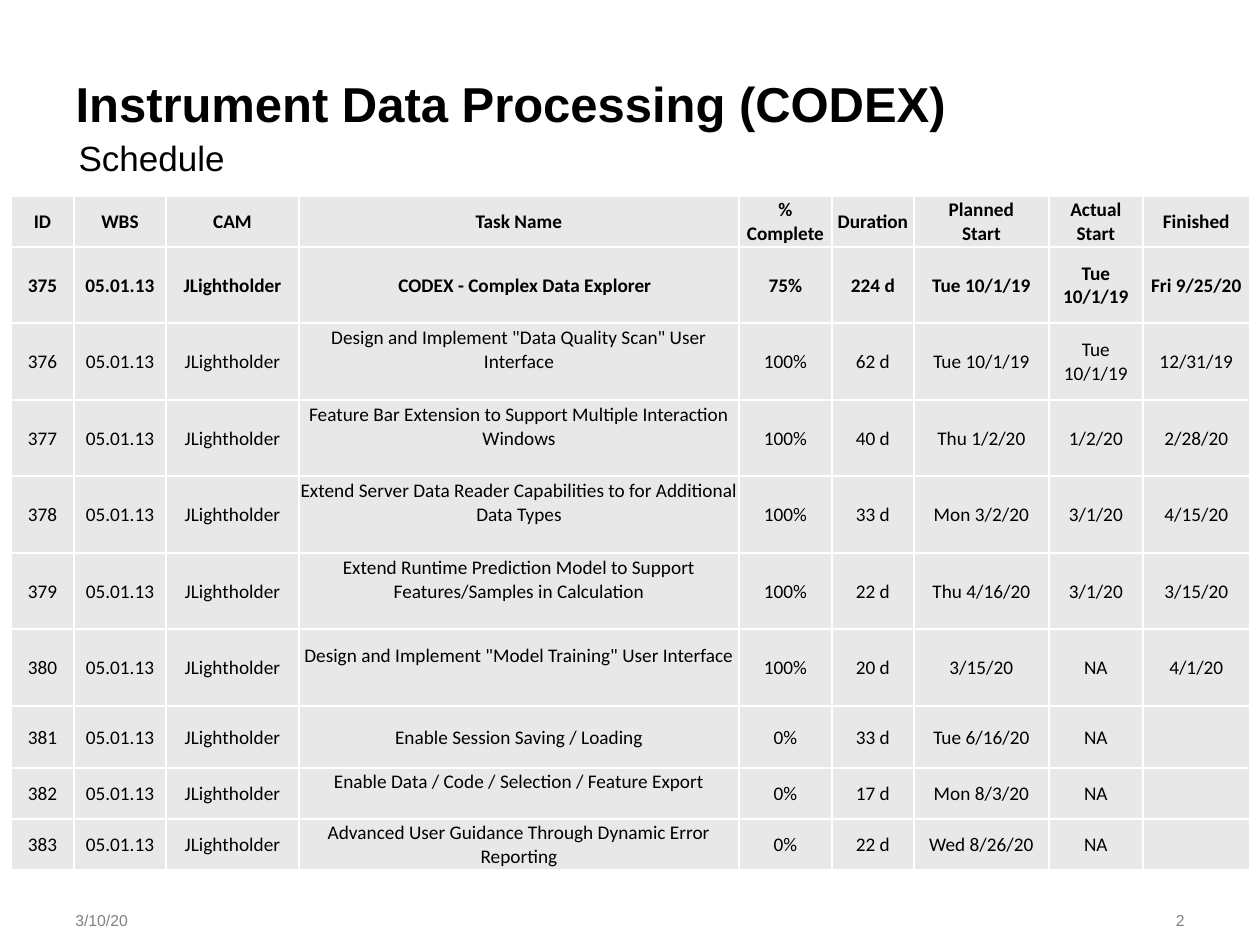
"""Build the CODEX schedule slide."""
from lxml.etree import SubElement
from pptx import Presentation
from pptx.dml.color import RGBColor
from pptx.enum.text import MSO_ANCHOR as Anchor, MSO_AUTO_SIZE as AutoSize, PP_ALIGN as Align
from pptx.oxml.ns import qn
from pptx.util import Emu, Pt


def px(length):
    return Emu(round(length * 914400 / 126))


def write(frame, text, align, font_name, size, color, bold=False):
    frame.text = text
    for paragraph in frame.paragraphs:
        paragraph.alignment = align
        for run in paragraph.runs:
            for key, value in {"name": font_name, "size": Pt(size), "bold": bold}.items():
                setattr(run.font, key, value)
            run.font.color.rgb = RGBColor.from_string(color)


prs = Presentation()
prs.slide_width, prs.slide_height = px(1260), px(945)
slide = prs.slides.add_slide(prs.slide_layouts[0])
title, subtitle = slide.placeholders

headings = [
    (title, "Instrument Data Processing (CODEX)", (63, 63, 1134, 60), 28, True),
    (subtitle, "Schedule", (66, 126, 1134, 45), 20, False),
]
for heading, text, box, size, bold in headings:
    heading.left, heading.top, heading.width, heading.height = map(px, box)
    frame_format = {"word_wrap": True, "auto_size": AutoSize.NONE,
                    "vertical_anchor": Anchor.TOP, "margin_top": px(10), "margin_bottom": 0}
    for key, value in frame_format.items():
        setattr(heading.text_frame, key, value)
    write(heading.text_frame, text, Align.LEFT, "Arial", size, "000000", bold)
    heading.text_frame.paragraphs[0].space_before = Pt(0)

footers = [("3/10/20", 63, 186, Align.LEFT), ("2", 1022, 175, Align.RIGHT)]
for text, left, width, align in footers:
    footer = slide.shapes.add_textbox(px(left), px(895), px(width), px(50)).text_frame
    footer.word_wrap = True
    footer.vertical_anchor = Anchor.MIDDLE
    write(footer, text, align, "Arial", 9, "808080")

header = ["ID", "WBS", "CAM", "Task Name", "%\nComplete", "Duration",
          "Planned\nStart", "Actual\nStart", "Finished"]
tasks = [
    ("CODEX - Complex Data Explorer", "75%", "224 d", "Tue 10/1/19", "Tue 10/1/19", "Fri 9/25/20"),
    ('Design and Implement "Data Quality Scan" User Interface',
     "100%", "62 d", "Tue 10/1/19", "Tue 10/1/19", "12/31/19"),
    ("Feature Bar Extension to Support Multiple Interaction Windows",
     "100%", "40 d", "Thu 1/2/20", "1/2/20", "2/28/20"),
    ("Extend Server Data Reader Capabilities to for Additional Data Types",
     "100%", "33 d", "Mon 3/2/20", "3/1/20", "4/15/20"),
    ("Extend Runtime Prediction Model to Support Features/Samples in Calculation",
     "100%", "22 d", "Thu 4/16/20", "3/1/20", "3/15/20"),
    ('Design and Implement "Model Training" User Interface',
     "100%", "20 d", "3/15/20", "NA", "4/1/20"),
    ("Enable Session Saving / Loading", "0%", "33 d", "Tue 6/16/20", "NA", ""),
    ("Enable Data / Code / Selection / Feature Export", "0%", "17 d", "Mon 8/3/20", "NA", ""),
    ("Advanced User Guidance Through Dynamic Error Reporting",
     "0%", "22 d", "Wed 8/26/20", "NA", ""),
]
schedule_rows = [header] + [
    [str(task_id), "05.01.13", "JLightholder", *task] for task_id, task in enumerate(tasks, 375)]
column_widths = [63, 92, 133, 440, 93, 82, 135, 94, 107]
row_heights = [51] + [76, 77] * 3 + [62, 51, 51]
name_column = 3
summary_row = 1
raised_names = {2, 3, 4, 5, 6, 8}

schedule = slide.shapes.add_table(
    len(row_heights), len(column_widths), px(11), px(196),
    px(sum(column_widths)), px(sum(row_heights))).table
schedule.horz_banding = False
for column, width in zip(schedule.columns, column_widths):
    column.width = px(width)
for row, height in zip(schedule.rows, row_heights):
    row.height = px(height)

for r, values in enumerate(schedule_rows):
    for c, value in enumerate(values):
        cell = schedule.cell(r, c)
        is_name = c == name_column
        cell_format = {
            "vertical_anchor": Anchor.MIDDLE,
            "margin_left": px(13 if is_name and r == summary_row else 1),
            "margin_right": px(1),
            "margin_top": px(1),
            "margin_bottom": px(24 if is_name and r in raised_names else 0),
        }
        for key, setting in cell_format.items():
            setattr(cell, key, setting)
        properties = cell._tc.get_or_add_tcPr()
        for side in ("lnL", "lnR", "lnT", "lnB"):
            border = SubElement(properties, qn(f"a:{side}"), w=str(Pt(1)))
            SubElement(SubElement(border, qn("a:solidFill")), qn("a:srgbClr"), val="FFFFFF")
        cell.fill.solid()
        cell.fill.fore_color.rgb = RGBColor.from_string("E8E8E8")
        write(cell.text_frame, value, Align.CENTER, "Calibri", 11, "000000", r <= summary_row)

prs.save("out.pptx")
